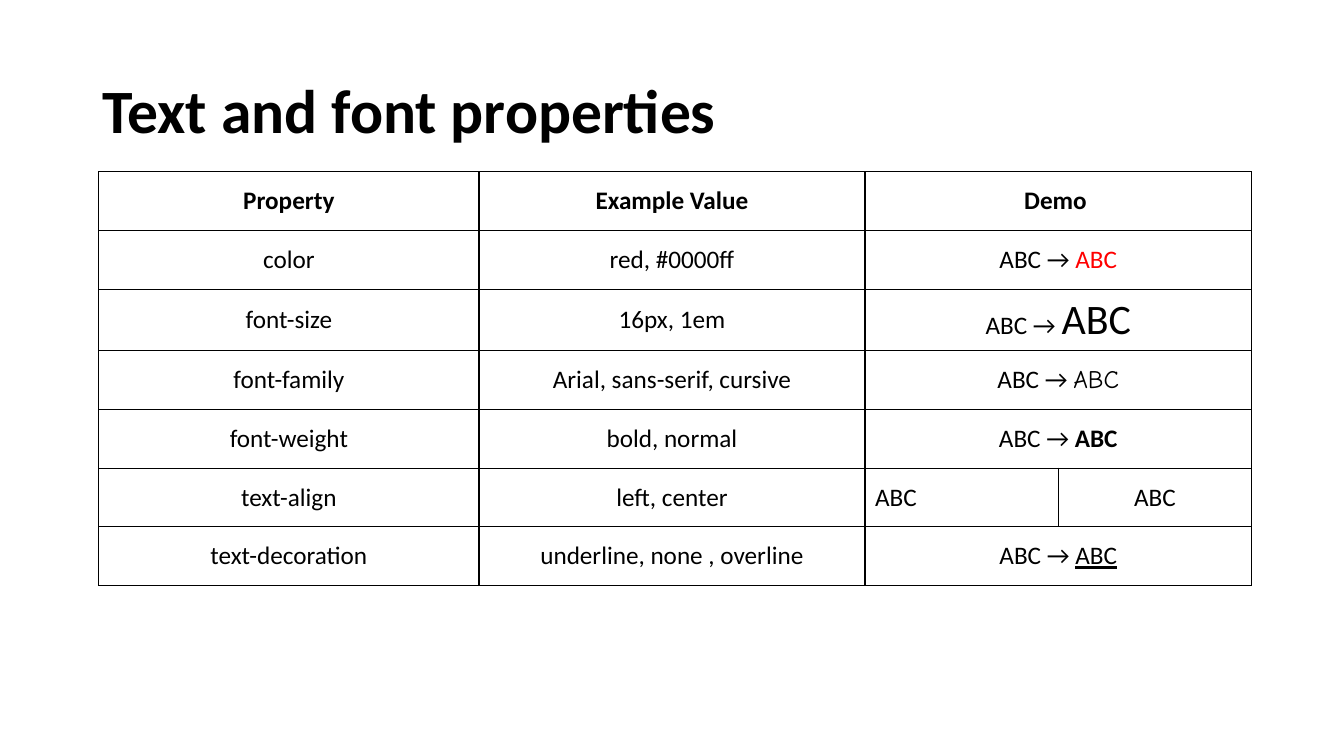
from lxml.etree import SubElement
from pptx import Presentation
from pptx.dml.color import RGBColor
from pptx.enum.text import MSO_ANCHOR, MSO_AUTO_SIZE, PP_ALIGN
from pptx.oxml import parse_xml
from pptx.oxml.ns import qn
from pptx.util import Cm, Pt

COLORS = {"text": "000000", "border": "000000", "demo": "FF0000"}
DRAWING_NAMESPACE = "http://schemas.openxmlformats.org/drawingml/2006/main"
COLUMN_WIDTHS = [9.58, 9.73, 4.87, 4.87]
ROW_HEIGHT = 1.48
ROWS = [
    ("Property", "Example Value", "Demo "),
    ("color", "red, #0000ff", "ABC → "),
    ("font-size", "16px, 1em", "ABC → "),
    ("font-family", "Arial, sans-serif, cursive", "ABC → "),
    ("font-weight", "bold, normal", "ABC → "),
    ("text-align", "left, center", "ABC", "ABC"),
    ("text-decoration", "underline, none , overline", "ABC → "),
]


def style_span(span, size, bold=False):
    span.font.name = "Calibri"
    span.font.size = Pt(size)
    span.font.bold = bold
    span.font.color.rgb = RGBColor.from_string(COLORS["text"])


def add_borders(cell):
    properties = cell._tc.get_or_add_tcPr()
    for position, side in enumerate(("lnL", "lnR", "lnT", "lnB")):
        line = parse_xml(f'<a:{side} xmlns:a="{DRAWING_NAMESPACE}" w="12700"/>')
        fill = SubElement(line, qn("a:solidFill"))
        SubElement(fill, qn("a:srgbClr")).set("val", COLORS["border"])
        properties.insert(position, line)


deck = Presentation()
deck.slide_width = Cm(33.87)
deck.slide_height = Cm(19.05)
page = deck.slides.add_slide(deck.slide_layouts[5])

title = page.shapes.title
title.left, title.top, title.width, title.height = Cm(2.33), Cm(1.01), Cm(29.21), Cm(3.68)
title.text_frame.text = "Text and font properties"
title.text_frame.auto_size = MSO_AUTO_SIZE.NONE
title.text_frame.vertical_anchor = MSO_ANCHOR.MIDDLE
heading = title.text_frame.paragraphs[0]
heading.alignment = PP_ALIGN.LEFT
heading.line_spacing = 0.9
style_span(heading.runs[0], 44, bold=True)

table = page.shapes.add_table(
    len(ROWS), len(COLUMN_WIDTHS), Cm(2.49), Cm(4.33),
    Cm(sum(COLUMN_WIDTHS)), Cm(ROW_HEIGHT * len(ROWS)),
).table
table.first_row = False
table.horz_banding = False
for column, width in zip(table.columns, COLUMN_WIDTHS):
    column.width = Cm(width)

demo_fonts = {}
for row_index, texts in enumerate(ROWS):
    table.rows[row_index].height = Cm(ROW_HEIGHT)
    for column_index in range(len(COLUMN_WIDTHS)):
        cell = table.cell(row_index, column_index)
        cell.fill.background()
        add_borders(cell)
        cell.vertical_anchor = MSO_ANCHOR.MIDDLE
        if column_index < len(texts):
            para = cell.text_frame.paragraphs[0]
            para.text = texts[column_index]
            para.alignment = PP_ALIGN.CENTER
            style_span(para.runs[0], 18, bold=row_index == 0)
    if len(texts) == 3:
        demo_cell = table.cell(row_index, 2)
        demo_cell.merge(table.cell(row_index, 3))
        if row_index > 0:
            span = demo_cell.text_frame.paragraphs[0].add_run()
            span.text = "ABC"
            style_span(span, 18)
            demo_fonts[texts[0]] = span.font
    else:
        table.cell(row_index, 2).text_frame.paragraphs[0].alignment = PP_ALIGN.LEFT

demo_fonts["color"].color.rgb = RGBColor.from_string(COLORS["demo"])
demo_fonts["font-size"].size = Pt(30)
demo_fonts["font-family"].name = "Comic Neue"
demo_fonts["font-weight"].bold = True
demo_fonts["text-decoration"].underline = True

deck.save("out.pptx")
